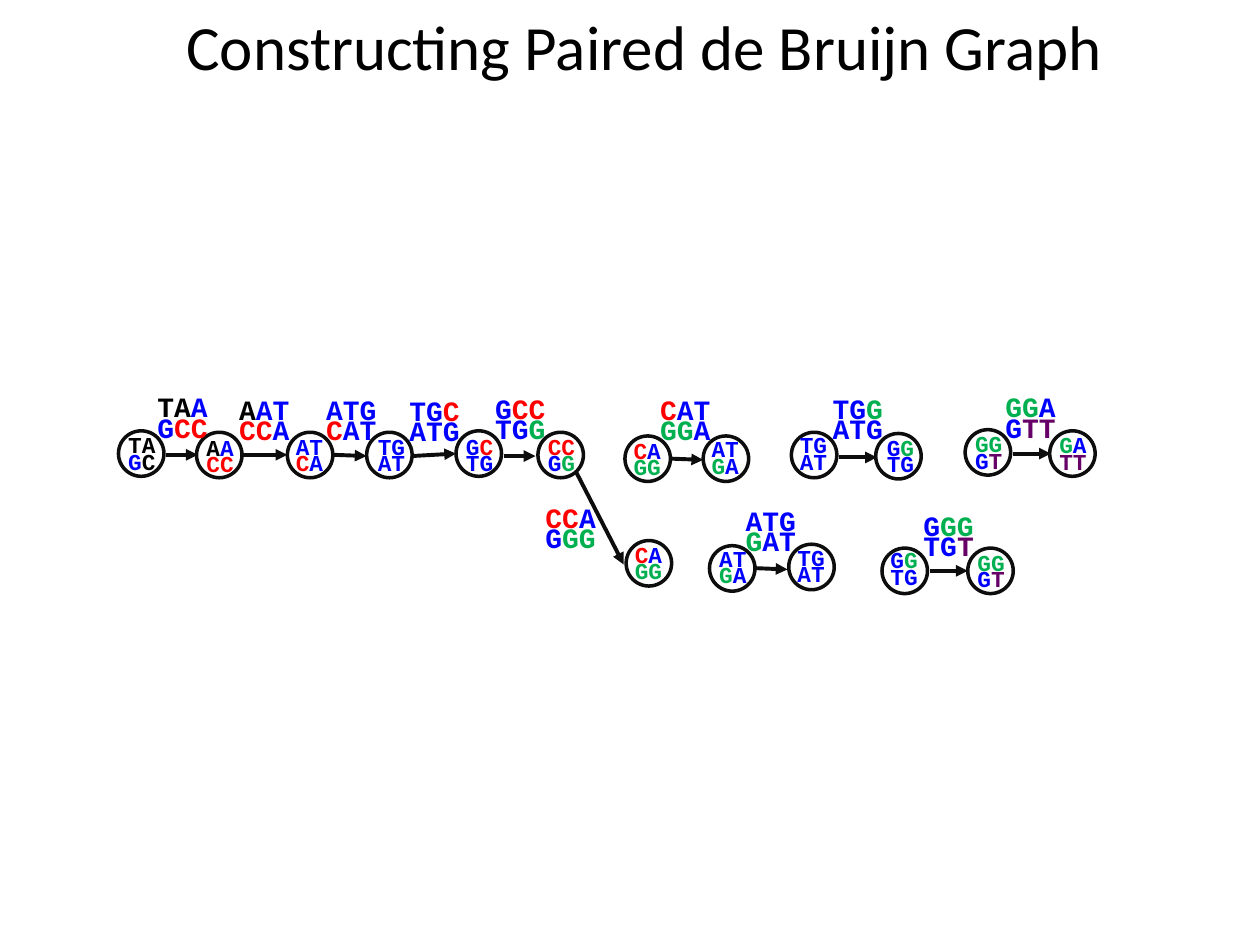
from itertools import groupby
from lxml.etree import SubElement
from pptx import Presentation
from pptx.dml.color import RGBColor
from pptx.enum.shapes import MSO_CONNECTOR, MSO_SHAPE
from pptx.enum.text import MSO_AUTO_SIZE, PP_ALIGN
from pptx.oxml.ns import qn
from pptx.util import Pt

COLORS = {"k": "000000", "b": "0000FF", "r": "FF0000", "g": "00B050",
          "p": "660066", "line": "0D0D0D"}
TITLE = "Constructing Paired de Bruijn Graph"
DIAMETER = 26

# circle corner, label corner, two rows of letters, one colour key per letter
NODES = [
    ((67.7, 246.2), (66.2, 248.4), "TA GC", "kk bk"),
    ((112.3, 247), (110.9, 249.8), "AA CC", "kb rr"),
    ((164.2, 247), (162, 249.1), "AT CA", "bb rb"),
    ((209.5, 247), (208.8, 249.1), "TG AT", "bb bb"),
    ((260.6, 246.2), (259.2, 249.1), "GC TG", "br bb"),
    ((307.4, 247), (306, 249.1), "CC GG", "rr bg"),
    ((357.8, 308.9), (355.7, 311), "CA GG", "rb gg"),
    ((357.1, 249.1), (355, 251.3), "CA GG", "rb gg"),
    ((401.8, 249.1), (399.6, 250.6), "AT GA", "bb gb"),
    ((405.4, 311.8), (403.9, 313.2), "AT GA", "bb gb"),
    ((450.7, 311), (448.6, 312.5), "TG AT", "bb bb"),
    ((452.2, 247), (450, 248.4), "TG AT", "bb bb"),
    ((500.4, 247.7), (499.7, 249.8), "GG TG", "bg bb"),
    ((504, 313.2), (501.8, 313.9), "GG TG", "bg bb"),
    ((553, 313.2), (551.5, 315.4), "GG GT", "gg bp"),
    ((551.5, 245.5), (550.1, 247.7), "GG GT", "gg bp"),
    ((599.8, 246.2), (598.3, 248.4), "GA TT", "gb pp"),
]

# start, end, label corner, two rows of letters, one colour key per letter
EDGES = [
    ((95, 259.9), (113, 259.9), (82.8, 226.1), "TAA GCC", "kkb brr"),
    ((138.2, 259.9), (164.2, 259.9), (129.6, 227.5), "AAT CCA", "kbb rrb"),
    ((190.1, 259.9), (209.5, 260.6), (179.3, 227.5), "ATG CAT", "bbb rbb"),
    ((235.4, 260.6), (260.6, 259.2), (226.8, 228.2), "TGC ATG", "bbr bbb"),
    ((288, 260.6), (306, 260.6), (275.8, 226.8), "GCC TGG", "brr bbg"),
    ((329, 269.3), (356.4, 322.6), (304.6, 289.4), "CCA GGG", "rrb bgg"),
    ((383.8, 262.1), (401.8, 262.8), (370.1, 227.5), "CAT GGA", "rbb ggb"),
    ((432, 324.7), (450, 325.4), (419, 290.9), "ATG GAT", "bbb gbb"),
    ((479.5, 261.4), (501.1, 261.4), (468.7, 226.8), "TGG ATG", "bbg bbb"),
    ((531.4, 326.2), (553, 326.2), (520.6, 293.8), "GGG TGT", "bgg bbp"),
    ((578.9, 259.2), (600.5, 259.2), (567.4, 226.1), "GGA GTT", "ggb bpp"),
]


def color(key):
    return RGBColor.from_string(COLORS[key])


def add_run(p, text, font, size, key, bold=False):
    r = p.add_run()
    r.text = text
    r.font.name, r.font.size, r.font.bold = font, Pt(size), bold
    r.font.color.rgb = color(key)


def add_pair(s, corner, rows, keys, size, width, height):
    tf = s.shapes.add_textbox(*map(Pt, (*corner, width, height))).text_frame
    tf.word_wrap = False
    tf.auto_size = MSO_AUTO_SIZE.SHAPE_TO_FIT_TEXT
    for i, (row, row_keys) in enumerate(zip(rows.split(), keys.split())):
        p = tf.add_paragraph() if i else tf.paragraphs[0]
        p.line_spacing = 0.6
        for key, letters in groupby(zip(row, row_keys), lambda pair: pair[1]):
            text = "".join(letter for letter, _ in letters)
            add_run(p, text, "Courier New", size, key, True)


def add_node(s, corner, label, rows, keys):
    sp = s.shapes.add_shape(MSO_SHAPE.OVAL, *map(Pt, (*corner, DIAMETER, DIAMETER)))
    sp.shadow.inherit = False
    sp.fill.background()
    sp.line.color.rgb = color("line")
    sp.line.width = Pt(2)
    add_pair(s, label, rows, keys, 13, 30.4, 25.9)


def add_edge(s, start, end, label, rows, keys):
    cxn = s.shapes.add_connector(MSO_CONNECTOR.STRAIGHT, *map(Pt, (*start, *end)))
    cxn.line.color.rgb = color("line")
    cxn.line.width = Pt(2.25)
    SubElement(cxn.line._get_or_add_ln(), qn("a:tailEnd"), type="triangle")
    SubElement(cxn._element.spPr, qn("a:effectLst"))
    add_pair(s, label, rows, keys, 16, 43.9, 30.2)


def main():
    prs = Presentation()
    prs.slide_width, prs.slide_height = Pt(720), Pt(540)
    s = prs.slides.add_slide(prs.slide_layouts[6])
    tf = s.shapes.add_textbox(Pt(5), Pt(0.7), Pt(726.5), Pt(51)).text_frame
    tf.word_wrap = True
    tf.auto_size = MSO_AUTO_SIZE.SHAPE_TO_FIT_TEXT
    p = tf.paragraphs[0]
    p.alignment = PP_ALIGN.CENTER
    add_run(p, TITLE, "Calibri", 36, "k")
    for node in NODES:
        add_node(s, *node)
    for edge in EDGES:
        add_edge(s, *edge)
    prs.save("out.pptx")


if __name__ == "__main__":
    main()
